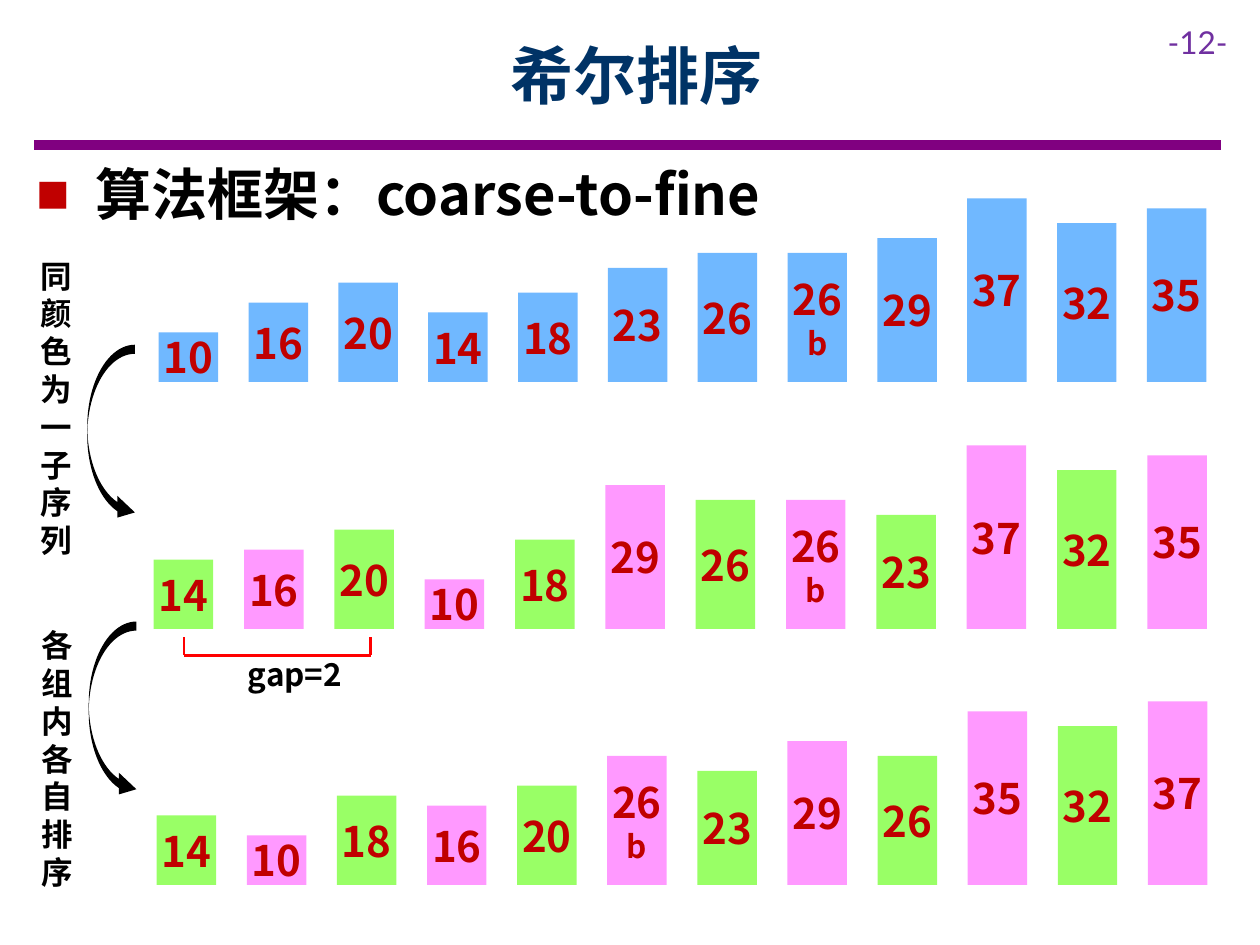
from lxml import etree
from pptx import Presentation
from pptx import util as u
from pptx.dml.color import RGBColor
from pptx.enum import shapes, text
from pptx.oxml import ns

INK = {
    "rule": "800080", "page": "7030A0", "title": "003366", "body": "000000",
    "value": "C00000", "gap": "FF0000",
    "blue": "70B8FF", "green": "99FF66", "pink": "FF99FF",
}
CJK = "Noto Sans CJK SC"
LEFT, MID = text.PP_ALIGN.LEFT, text.PP_ALIGN.CENTER
BAR = 1.2    # bar width, cm
UNIT = 0.1   # bar height per unit of value, cm


def tint(name):
    return RGBColor.from_string(INK[name])


def child(node, tag, **attrs):
    return etree.SubElement(node, ns.qn(tag), attrs)


def write(para, words, size, ink, align=LEFT, font=CJK, bold=True):
    para.alignment = align
    para.line_spacing = u.Pt(round(size * 1.2, 1))
    run = para.add_run()
    run.text = words
    face = run.font
    face.size, face.bold, face.name = u.Pt(size), bold, font
    face.color.rgb = tint(ink)
    child(run._r.get_or_add_rPr(), "a:ea", typeface=font)


def label(slide, box, words, size, ink, wrap=True, **style):
    frame = slide.shapes.add_textbox(*map(u.Cm, box)).text_frame
    frame.word_wrap = wrap
    write(frame.paragraphs[0], words, size, ink, **style)
    return frame


def line(slide, start, end, ink, width):
    link = slide.shapes.add_connector(
        shapes.MSO_CONNECTOR.STRAIGHT, *map(u.Cm, start + end))
    link.line.color.rgb = tint(ink)
    link.line.width = u.Pt(width)
    child(link._element.spPr, "a:effectLst")


def block(slide, kind, box, ink):
    shape = slide.shapes.add_shape(kind, *map(u.Cm, box))
    shape.shadow.inherit = False
    shape.fill.solid()
    shape.fill.fore_color.rgb = tint(ink)
    shape.line.fill.background()
    return shape


def header(slide, box):
    """Title, page number and rule along the bottom of the box."""
    x, y, w, h = box
    line(slide, (x, y + h), (x + w, y + h), "rule", 6)
    label(slide, (x + 22.6, y + 0.1, 2.1, 1.02), "-12-", 18, "page",
          font="Lato", bold=False)
    title = label(slide, (x + 1.6, y, 21.1, 2.54), "希尔排序", 36, "title",
                  align=MID)
    title.vertical_anchor = text.MSO_ANCHOR.MIDDLE


def topic(slide, box):
    """Bulleted heading."""
    frame = slide.shapes.add_textbox(*map(u.Cm, box)).text_frame
    frame.word_wrap = True
    para = frame.paragraphs[0]
    props = para._p.get_or_add_pPr()
    dent = u.Cm(1.2)
    props.set("marL", str(dent))
    props.set("indent", str(-dent))
    color = child(props, "a:buClr")
    child(color, "a:srgbClr", val=INK["value"])
    child(props, "a:buSzPct", val="60000")
    child(props, "a:buFont", typeface=CJK)
    child(props, "a:buChar", char="■")
    write(para, "算法框架：coarse-to-fine", 32, "body")


def bars(slide, box, values, inks):
    """Row of bars standing on the bottom of the box."""
    x, y, w, h = box
    step = (w - BAR) / (len(values) - 1)
    for i, value in enumerate(values):
        digits, mark = value[:2], value[2:]
        tall = int(digits) * UNIT
        bar = block(slide, shapes.MSO_SHAPE.RECTANGLE,
                    (x + i * step, y + h - tall, BAR, tall),
                    inks[i % len(inks)])
        frame = bar.text_frame
        frame.word_wrap = True
        frame.vertical_anchor = text.MSO_ANCHOR.MIDDLE
        frame.margin_left = frame.margin_right = 0
        frame.margin_top = frame.margin_bottom = u.Cm(0.25)
        write(frame.paragraphs[0], digits, 24, "value", MID)
        if mark:
            write(frame.add_paragraph(), mark, 18, "value", MID)


def stage(slide, box, words, drop):
    """Upright caption with a curved arrow, drop below the top of the box."""
    x, y, w, h = box
    arrow = block(slide, shapes.MSO_SHAPE.CURVED_RIGHT_ARROW,
                  (x + 1.2, y + drop, 0.96, 3.6), "body")
    for i, part in enumerate((0.191, 0.456, 0.366)):
        arrow.adjustments[i] = part
    label(slide, box, words, 18, "body")


def gap(slide, box):
    """Bracket with its caption underneath."""
    x, y, w, h = box
    low = y + h
    line(slide, (x + w, low), (x, low), "gap", 1.5)
    for side in (x, x + w):
        line(slide, (side, low), (side, y), "gap", 1.5)
    label(slide, (x + 1.04, low - 0.13, 2.6, 1.02), "gap=2", 18, "body",
          wrap=False)


def main():
    deck = Presentation()
    deck.slide_width, deck.slide_height = u.Cm(25.4), u.Cm(19.05)
    slide = deck.slides.add_slide(deck.slide_layouts[6])

    header(slide, (0.69, 0.23, 23.92, 2.69))
    topic(slide, (0.48, 3.1, 24.23, 1.63))
    stage(slide, (0.56, 5.05, 1.32, 6.4), "同颜色为一子序列", 1.9)
    stage(slide, (0.59, 12.5, 1.32, 5.64), "各组内各自排序", 0.03)
    gap(slide, (3.71, 12.85, 3.76, 0.36))

    pair = ("green", "pink")
    rows = [
        (3.2, 4, 21.12, "10 16 20 14 18 23 26 26b 29 37 32 35", ("blue",)),
        (3.1, 8.98, 21.23, "14 16 20 10 18 29 26 26b 23 37 32 35", pair),
        (3.16, 14.14, 21.18, "14 10 18 16 20 26b 23 29 26 35 32 37", pair),
    ]
    for x, y, w, values, inks in rows:
        bars(slide, (x, y, w, 3.7), values.split(), inks)

    deck.save("out.pptx")


if __name__ == "__main__":
    main()
